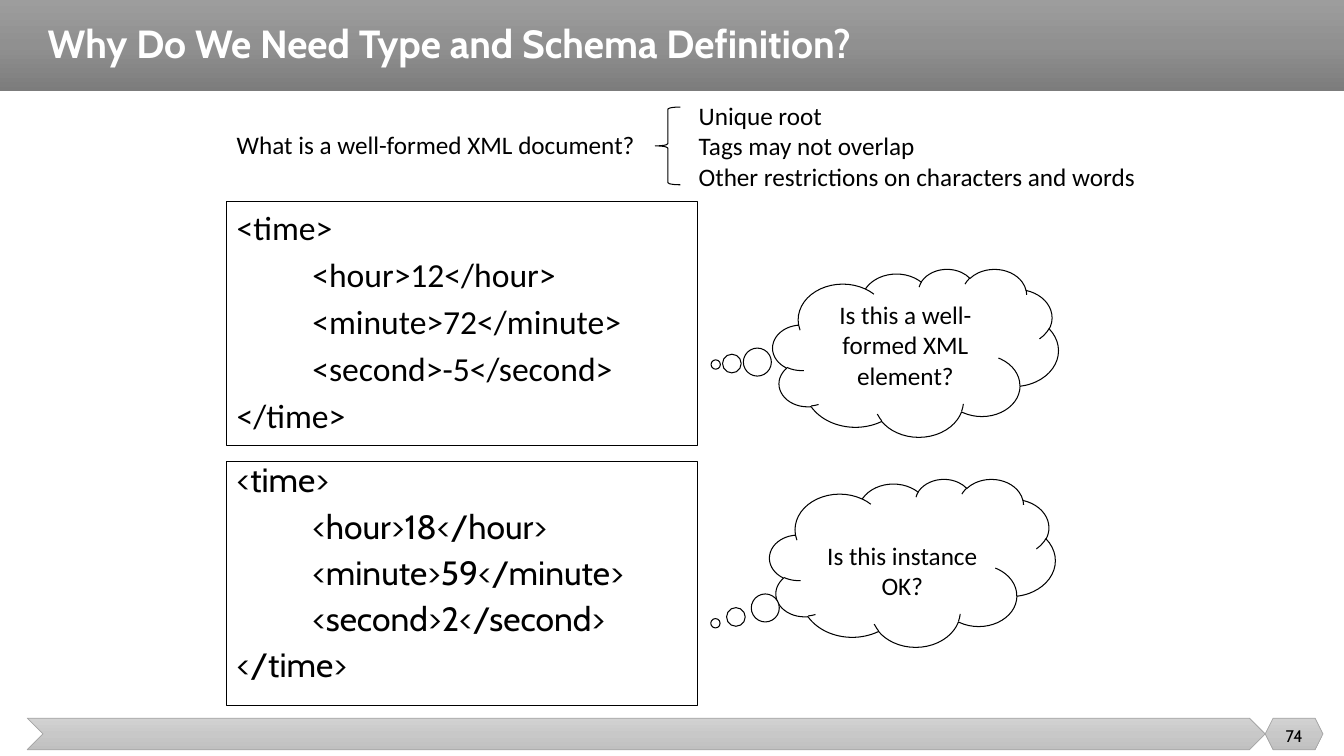
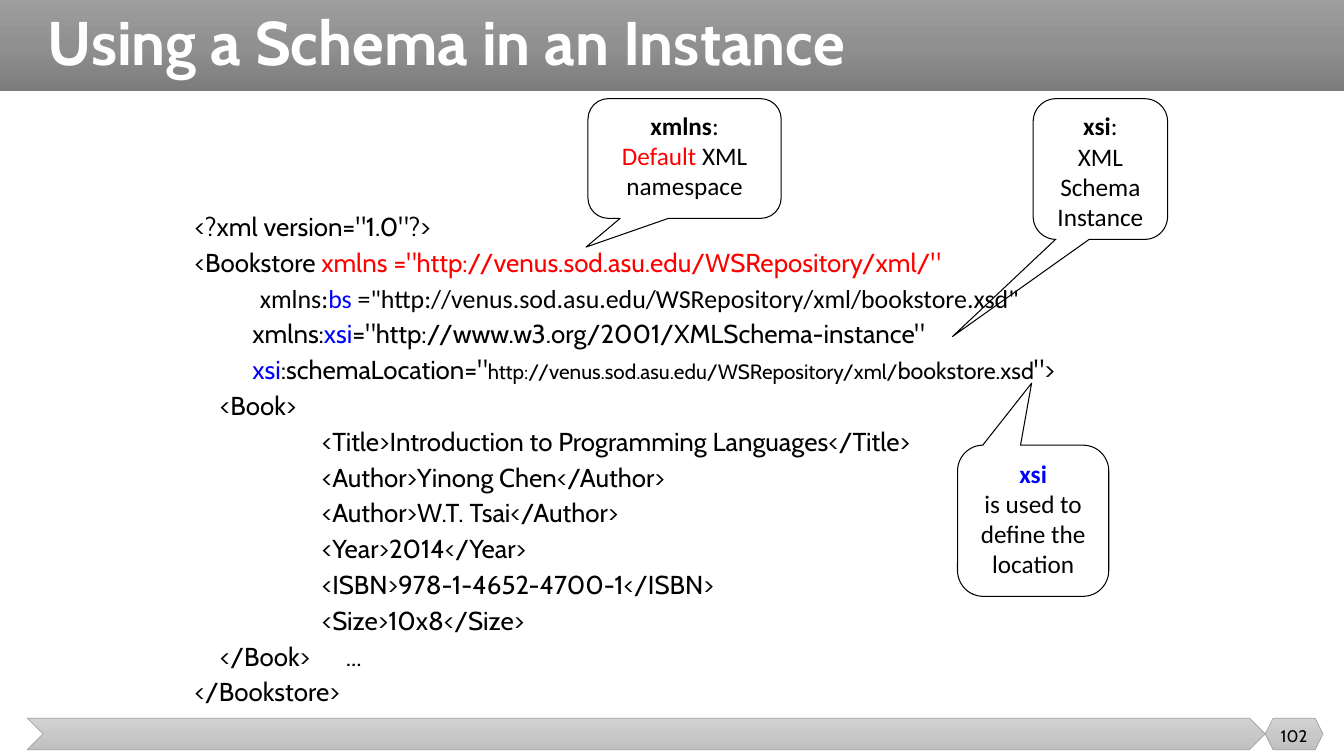
import copy
from dataclasses import dataclass
from typing import NamedTuple, Optional

import pptx
import pptx.dml.color
import pptx.enum.shapes
import pptx.enum.text
import pptx.oxml
import pptx.oxml.ns
import pptx.util
from pptx.presentation import Presentation
from pptx.shapes.autoshape import Shape
from pptx.slide import Slide

RGBColor = pptx.dml.color.RGBColor
MSO_SHAPE = pptx.enum.shapes.MSO_SHAPE
PP_ALIGN = pptx.enum.text.PP_ALIGN
MSO_ANCHOR = pptx.enum.text.MSO_ANCHOR

EMU_PER_PX = 9525
SLIDE_WIDTH, SLIDE_HEIGHT = 1280, 720

BLACK = RGBColor(0x00, 0x00, 0x00)
WHITE = RGBColor(0xFF, 0xFF, 0xFF)
RED = RGBColor(0xFF, 0x00, 0x00)
BLUE = RGBColor(0x00, 0x00, 0xFF)
FOOTER_LINE = RGBColor(0xA5, 0xA5, 0xA5)
TITLE_GRADIENT = (RGBColor(0x9D, 0x9D, 0x9D), RGBColor(0x90, 0x90, 0x90), RGBColor(0x7C, 0x7C, 0x7C))
FOOTER_GRADIENT = (RGBColor(0xD2, 0xD2, 0xD2), RGBColor(0xC8, 0xC8, 0xC8), RGBColor(0xC0, 0xC0, 0xC0))

CABIN = "Cabin"
CALIBRI = "Calibri"


class Box(NamedTuple):
    left: int
    top: int
    width: int
    height: int


class Run(NamedTuple):
    text: str
    color: RGBColor = BLACK
    bold: bool = False
    size: Optional[float] = None
    font: Optional[str] = None


class Line(NamedTuple):
    runs: tuple[Run, ...]
    indent: int = 0
    tab: Optional[int] = None


@dataclass(frozen=True)
class TextStyle:
    font: str = CALIBRI
    size: float = 18
    align: PP_ALIGN = PP_ALIGN.LEFT
    line_spacing: float = 1.0
    space_before: float = 0


@dataclass(frozen=True)
class Callout:
    kind: MSO_SHAPE
    box: Box
    adjustments: tuple[float, ...]
    lines: tuple[Line, ...]
    top_inset: int = 5


TITLE_BAND = Box(0, 0, SLIDE_WIDTH, 87)
TITLE_BOX = Box(36, 0, 1223, 87)
FOOTER_ARROW = Box(26, 684, 1179, 30)
FOOTER_HEXAGON = Box(1205, 684, 55, 30)
PAGE_BOX = Box(1205, 682, 55, 38)

PLAIN = TextStyle()
CENTERED = TextStyle(align=PP_ALIGN.CENTER)
PAGE_STYLE = TextStyle(CABIN, 12, PP_ALIGN.CENTER)
FIRST_TIME_STYLE = TextStyle(size=24, space_before=4.8)
SECOND_TIME_STYLE = TextStyle(CABIN, 24, line_spacing=0.8, space_before=10)
SCHEMA_STYLE = TextStyle(CABIN, 18.5, line_spacing=0.7, space_before=10)

CHILD_INDENT = 72
ATTRIBUTE_INDENT = 55
PREFIX_INDENT = 62
BOOK_INDENT = 24
FIELD_INDENT = 121
ELLIPSIS_TAB = 159


def px(length: int) -> pptx.util.Emu:
    return pptx.util.Emu(length * EMU_PER_PX)


def plain(text: str, indent: int = 0, tab: Optional[int] = None) -> Line:
    return Line((Run(text),), indent, tab)


def write_lines(shape: Shape, lines: tuple[Line, ...], style: TextStyle) -> None:
    text_frame = shape.text_frame
    for index, line in enumerate(lines):
        paragraph = text_frame.paragraphs[0] if index == 0 else text_frame.add_paragraph()
        paragraph.alignment = style.align
        paragraph.line_spacing = style.line_spacing
        if index:
            paragraph.space_before = pptx.util.Pt(style.space_before)
        properties = paragraph._p.get_or_add_pPr()
        properties.set("marL", "0")
        properties.set("indent", str(px(line.indent)))
        if line.tab is not None:
            tabs = pptx.oxml.ns.qn("a:tabLst")
            tab_list = properties.makeelement(tabs, {})
            properties.append(tab_list)
            tab = tab_list.makeelement(pptx.oxml.ns.qn("a:tab"), {"pos": str(px(line.tab)), "algn": "l"})
            tab_list.append(tab)
        for piece in line.runs:
            run = paragraph.add_run()
            run.text = piece.text
            run.font.name = piece.font or style.font
            run.font.size = pptx.util.Pt(piece.size or style.size)
            run.font.bold = piece.bold
            run.font.color.rgb = piece.color


def add_text(slide: Slide, box: Box, lines: tuple[Line, ...], style: TextStyle,
             anchor: MSO_ANCHOR = MSO_ANCHOR.TOP, wrap: bool = True) -> None:
    shape = slide.shapes.add_textbox(*map(px, box))
    shape.text_frame.word_wrap = wrap
    shape.text_frame.vertical_anchor = anchor
    write_lines(shape, lines, style)


def add_outline(slide: Slide, kind: MSO_SHAPE, box: Box, fill: Optional[RGBColor] = WHITE,
                line: Optional[RGBColor] = BLACK, weight: float = 0.75) -> Shape:
    shape = slide.shapes.add_shape(kind, *map(px, box))
    shape.shadow.inherit = False
    if fill is None:
        shape.fill.background()
    else:
        shape.fill.solid()
        shape.fill.fore_color.rgb = fill
    if line is None:
        shape.line.fill.background()
    else:
        shape.line.color.rgb = line
        shape.line.width = pptx.util.Pt(weight)
    shape.text_frame.word_wrap = True
    shape.text_frame.vertical_anchor = MSO_ANCHOR.TOP
    return shape


def add_gradient_band(slide: Slide, kind: MSO_SHAPE, box: Box, colors: tuple[RGBColor, ...],
                      line: Optional[RGBColor] = None) -> None:
    shape = add_outline(slide, kind, box, line=line, weight=0.5)
    shape.fill.gradient()
    shape.fill.gradient_angle = 270
    stop_list = shape._element.spPr.find(".//" + pptx.oxml.ns.qn("a:gsLst"))
    stop_list.insert(1, copy.deepcopy(stop_list[0]))
    for index, (stop, color) in enumerate(zip(shape.fill.gradient_stops, colors)):
        stop.position = index / (len(colors) - 1)
        stop.color.rgb = color


def add_code_box(slide: Slide, box: Box, lines: tuple[Line, ...], style: TextStyle) -> None:
    write_lines(add_outline(slide, MSO_SHAPE.RECTANGLE, box, fill=None), lines, style)


def add_callout(slide: Slide, callout: Callout) -> None:
    shape = add_outline(slide, callout.kind, callout.box)
    for index, value in enumerate(callout.adjustments):
        shape.adjustments[index] = value
    shape.text_frame.margin_top = px(callout.top_inset)
    write_lines(shape, callout.lines, CENTERED)


def add_framed_slide(presentation: Presentation, title: str, title_size: int, page: str) -> Slide:
    slide = presentation.slides.add_slide(presentation.slide_layouts[6])
    add_gradient_band(slide, MSO_SHAPE.RECTANGLE, TITLE_BAND, TITLE_GRADIENT)
    add_gradient_band(slide, MSO_SHAPE.CHEVRON, FOOTER_ARROW, FOOTER_GRADIENT, FOOTER_LINE)
    add_gradient_band(slide, MSO_SHAPE.HEXAGON, FOOTER_HEXAGON, FOOTER_GRADIENT, FOOTER_LINE)
    add_text(slide, PAGE_BOX, (plain(page),), PAGE_STYLE, MSO_ANCHOR.MIDDLE)
    add_text(slide, TITLE_BOX, (Line((Run(title, WHITE, True),)),),
             TextStyle(CABIN, title_size, line_spacing=0.9), MSO_ANCHOR.MIDDLE)
    return slide


def time_lines(hour: int, minute: int, second: int) -> tuple[Line, ...]:
    return (
        plain("<time>"),
        plain(f"<hour>{hour}</hour>", CHILD_INDENT),
        plain(f"<minute>{minute}</minute>", CHILD_INDENT),
        plain(f"<second>{second}</second>", CHILD_INDENT),
        plain("</time>"),
    )


def build_definition_slide(presentation: Presentation) -> None:
    slide = add_framed_slide(presentation, "Why Do We Need Type and Schema Definition?", 28, "74")
    add_code_box(slide, Box(216, 440, 448, 232), time_lines(18, 59, 2), SECOND_TIME_STYLE)
    add_code_box(slide, Box(216, 192, 448, 232), time_lines(12, 72, -5), FIRST_TIME_STYLE)
    clouds = (
        Callout(MSO_SHAPE.CLOUD_CALLOUT, Box(736, 256, 272, 160), (-0.7, 0.07),
                (plain("Is this a well-formed XML element?"),)),
        Callout(MSO_SHAPE.CLOUD_CALLOUT, Box(733, 456, 272, 160), (-0.69, 0.36),
                (plain("Is this instance OK?"),), top_inset=34),
    )
    for cloud in clouds:
        add_callout(slide, cloud)
    add_text(slide, Box(216, 118, 408, 38), (plain("What is a well-formed XML document?"),), PLAIN, wrap=False)
    rules = ("Unique root", "Tags may not overlap", "Other restrictions on characters and words")
    add_text(slide, Box(656, 91, 445, 97), tuple(map(plain, rules)), PLAIN, wrap=False)
    add_outline(slide, MSO_SHAPE.LEFT_BRACE, Box(624, 102, 24, 74))


def build_instance_slide(presentation: Presentation) -> None:
    slide = add_framed_slide(presentation, "Using a Schema in an Instance", 44, "102")
    rounded = MSO_SHAPE.ROUNDED_RECTANGULAR_CALLOUT
    add_callout(slide, Callout(rounded, Box(984, 94, 128, 134), (-1.1, 1.19, 0.17), (
        Line((Run("xsi", bold=True), Run(":"))),
        plain("XML Schema Instance"),
    )))
    fields = (
        "<Title>Introduction to Programming Languages</Title>",
        "<Author>Yinong Chen</Author>",
        "<Author>W.T. Tsai</Author>",
        "<Year>2014</Year>",
        "<ISBN>978-1-4652-4700-1</ISBN>",
        "<Size>10x8</Size>",
    )
    schema_lines = (
        plain('<?xml version="1.0"?>'),
        Line((Run("<Bookstore "), Run('xmlns ="http://venus.sod.asu.edu/WSRepository/xml/"', RED))),
        Line((
            Run("xmlns:", font=CALIBRI),
            Run("bs", BLUE, font=CALIBRI),
            Run(' ="http://venus.sod.asu.edu/WSRepository/xml/bookstore.xsd"', font=CALIBRI),
        ), PREFIX_INDENT),
        Line((
            Run("xmlns:"),
            Run("xsi", BLUE),
            Run('="http://www.w3.org/2001/XMLSchema-instance"'),
        ), ATTRIBUTE_INDENT),
        Line((
            Run("xsi", BLUE),
            Run(':schemaLocation="'),
            Run("http://venus.sod.asu.edu/WSRepository/xml/", size=14.8),
            Run("bookstore.xsd", size=16.6),
            Run('">'),
        ), ATTRIBUTE_INDENT),
        plain("<Book>", BOOK_INDENT),
        *(plain(field, FIELD_INDENT) for field in fields),
        plain("</Book>\t...", BOOK_INDENT, ELLIPSIS_TAB),
        plain("</Bookstore>"),
    )
    add_text(slide, Box(176, 204, 936, 484), schema_lines, SCHEMA_STYLE)
    add_callout(slide, Callout(rounded, Box(560, 94, 184, 114), (-0.51, 0.74, 0.17), (
        Line((Run("xmlns", bold=True), Run(":"))),
        Line((Run("Default", RED), Run(" XML namespace"))),
    )))
    add_callout(slide, Callout(rounded, Box(912, 424, 144, 144), (-0.01, -0.91, 0.17), (
        Line((Run("xsi", BLUE, True),)),
        plain("is used to define the location"),
    )))


def main() -> None:
    presentation = pptx.Presentation()
    presentation.slide_width = px(SLIDE_WIDTH)
    presentation.slide_height = px(SLIDE_HEIGHT)
    build_definition_slide(presentation)
    build_instance_slide(presentation)
    presentation.save("out.pptx")


if __name__ == "__main__":
    main()
